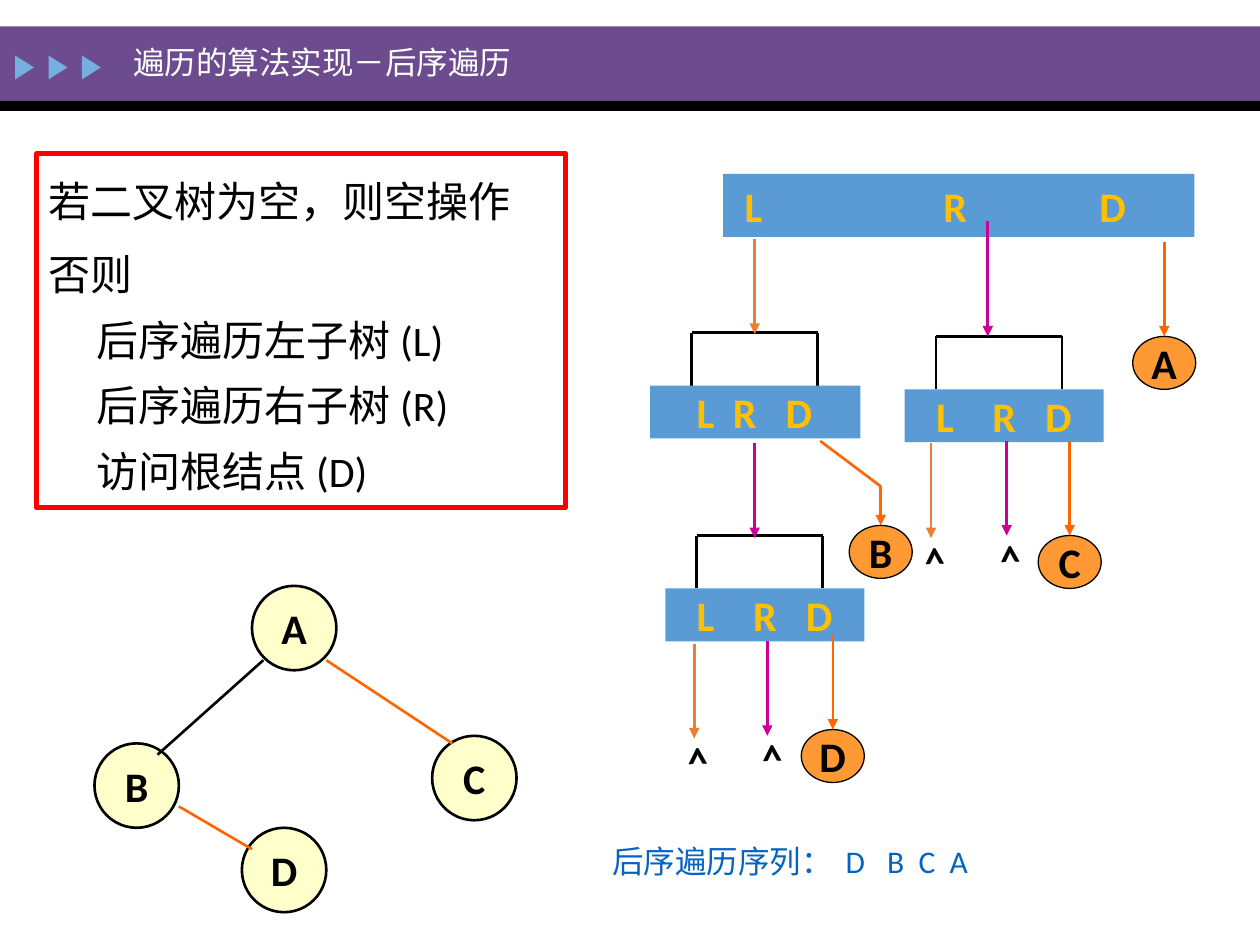
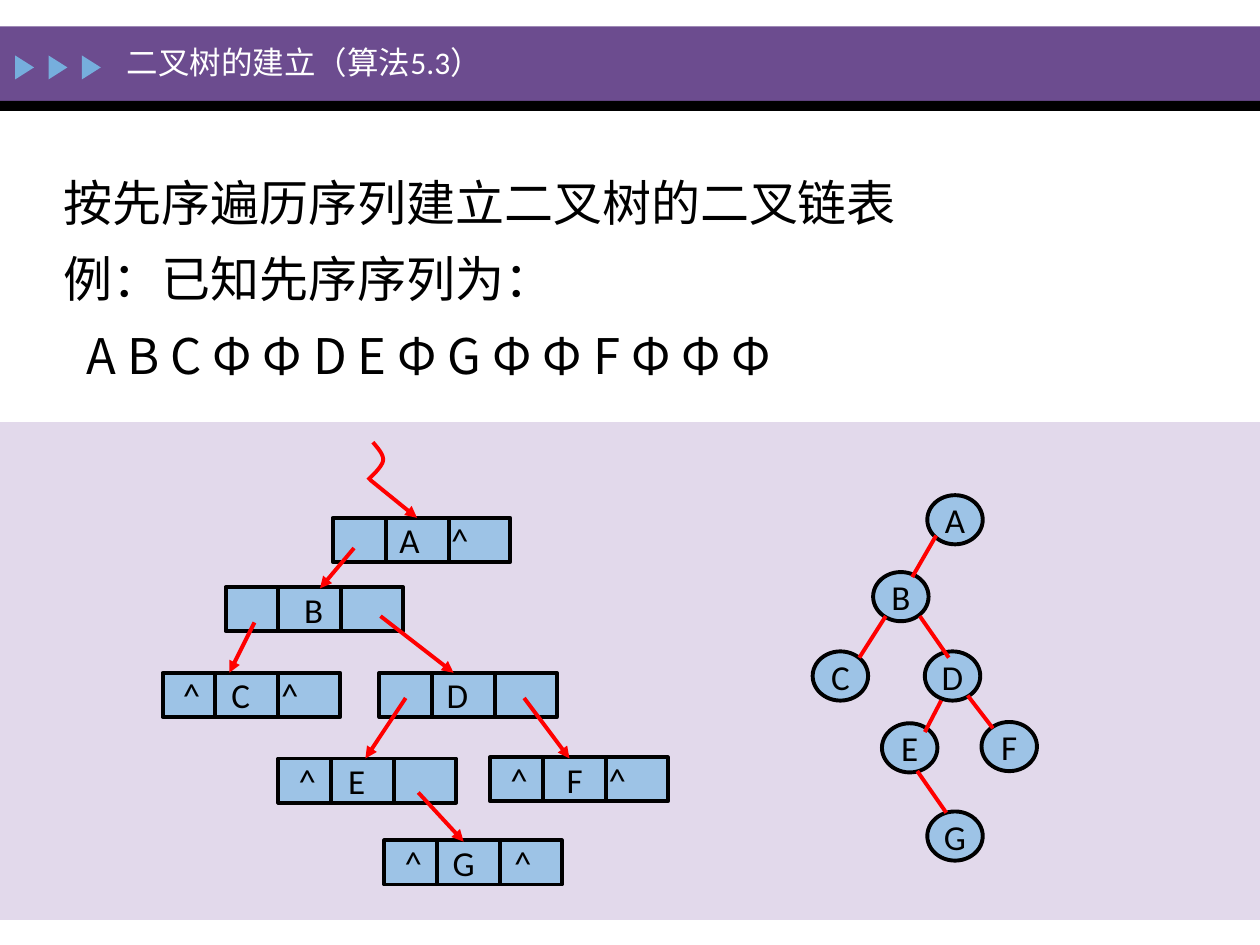
from pptx import Presentation
from pptx.dml.color import RGBColor
from pptx.enum.shapes import MSO_CONNECTOR, MSO_SHAPE
from pptx.enum.text import MSO_ANCHOR, PP_ALIGN
from pptx.oxml.ns import qn
from pptx.oxml.xmlchemy import OxmlElement
from pptx.util import Inches, Pt

# Colours and fonts
BLACK = RGBColor(0x00, 0x00, 0x00)
WHITE = RGBColor(0xFF, 0xFF, 0xFF)
RED = RGBColor(0xFF, 0x00, 0x00)
PURPLE = RGBColor(0x6C, 0x4C, 0x8F)
LILAC = RGBColor(0xE2, 0xD9, 0xEB)
SKY = RGBColor(0x76, 0xAE, 0xDD)
BLUE = RGBColor(0x5B, 0x9B, 0xD5)
PALE = RGBColor(0x9D, 0xC3, 0xE6)
LINK = RGBColor(0x05, 0x63, 0xC1)
CREAM = RGBColor(0xFF, 0xFF, 0xCC)
GOLD = RGBColor(0xFF, 0xC0, 0x00)
AMBER = RGBColor(0xFF, 0x99, 0x33)
ORANGE = RGBColor(0xFF, 0x66, 0x00)
RUST = RGBColor(0xED, 0x7D, 0x31)
PINK = RGBColor(0xCC, 0x00, 0x99)
LATIN, HAN = "Calibri", "Noto Sans CJK SC"

# Text formats
TITLE = dict(size=Pt(18), color=WHITE)
BODY = dict(size=Pt(24), color=BLACK)
LEAD = dict(size=Pt(28), color=BLACK)
CODES = dict(LEAD, name=HAN)
MARK = dict(BODY, bold=True)
STEP = dict(MARK, color=GOLD)
ORDER = dict(size=Pt(18), color=LINK)
NODE = dict(size=Pt(20), color=BLACK)


def style(font, fmt):
    for key, val in dict({"name": LATIN}, **fmt).items():
        if key == "color":
            font.color.rgb = val
        else:
            setattr(font, key, val)


def add_tabs(para, stops):
    tabs = OxmlElement("a:tabLst")
    for stop in stops:
        tab = OxmlElement("a:tab")
        tab.set("pos", str(Inches(stop)))
        tab.set("algn", "ctr")
        tabs.append(tab)
    para._p.get_or_add_pPr().append(tabs)


def write(para, text, fmt, stops=(), **attrs):
    if stops:
        add_tabs(para, stops)
    for key, val in attrs.items():
        setattr(para, key, val)
    para.text = text
    for run in para.runs:
        style(run.font, fmt)


def set_frame(frame, wrap=True, anchor=MSO_ANCHOR.MIDDLE, inset=None):
    frame.word_wrap = wrap
    frame.vertical_anchor = anchor
    if inset is not None:
        frame.margin_left = frame.margin_right = Inches(inset)


def add_box(slide, box, fill=None, line=None, width=1.5, kind=MSO_SHAPE.RECTANGLE):
    shape = slide.shapes.add_shape(kind, *map(Inches, box))
    shape.shadow.inherit = False
    if fill is None:
        shape.fill.background()
    else:
        shape.fill.solid()
        shape.fill.fore_color.rgb = fill
    if line is None:
        shape.line.fill.background()
    else:
        shape.line.color.rgb = line
        shape.line.width = Pt(width)
    return shape


def add_text(slide, box, text, fmt, stops=(), turn=0):
    label = slide.shapes.add_textbox(*map(Inches, box))
    label.rotation = turn
    set_frame(label.text_frame)
    write(label.text_frame.paragraphs[0], text, fmt, stops)
    return label


def add_disc(slide, box, text, fmt, fill, width):
    disc = add_box(slide, box, fill, BLACK, width, MSO_SHAPE.OVAL)
    set_frame(disc.text_frame, wrap=False)
    write(disc.text_frame.paragraphs[0], text, fmt, alignment=PP_ALIGN.CENTER)


def add_cells(shape, cells, fmt):
    """Centre each letter of a row on its own tab stop."""
    set_frame(shape.text_frame, inset=0)
    text = "".join("\t" + mark for _, mark in cells)
    write(shape.text_frame.paragraphs[0], text, fmt, [x for x, _ in cells],
          alignment=PP_ALIGN.LEFT)


def add_line(slide, start, end, color=BLACK, width=1.5, arrow=False):
    line = slide.shapes.add_connector(
        MSO_CONNECTOR.STRAIGHT, *map(Inches, (*start, *end)))
    line.line.color.rgb = color
    line.line.width = Pt(width)
    props = line.element.spPr
    if arrow:
        tail = OxmlElement("a:tailEnd")
        tail.set("type", "triangle")
        props.find(qn("a:ln")).append(tail)
    props.append(OxmlElement("a:effectLst"))


def drop(slide, x, top, color, fall=0.75):
    add_line(slide, (x, top), (x, top + fall), color, arrow=True)


def add_call(slide, left, top, width, stops, fork):
    """A bar of L, R, D steps under a three-sided bracket."""
    roof = top - 0.42
    add_line(slide, (fork, roof), (fork + 1, roof))
    for x in (fork, fork + 1):
        add_line(slide, (x, roof), (x, top))
    bar = add_box(slide, (left, top, width, 0.42), BLUE)
    add_cells(bar, list(zip(stops, "LRD")), STEP)


def add_curve(slide, start, bends, color):
    """Trace cubic bends with short straight steps."""
    pts, here = [], start
    for a, b, end in bends:
        for i in range(1, 13):
            t = i / 12
            u = 1 - t
            pts.append(tuple(
                Inches(u**3 * p + 3*u*u*t * q + 3*u*t*t * r + t**3 * s)
                for p, q, r, s in zip(here, a, b, end)))
        here = end
    path = slide.shapes.build_freeform(*map(Inches, start))
    path.add_line_segments(pts, close=False)
    curve = path.convert_to_shape()
    curve.shadow.inherit = False
    curve.fill.background()
    curve.line.color.rgb = color
    curve.line.width = Pt(2.25)


def new_slide(deck, title, left):
    slide = deck.slides.add_slide(deck.slide_layouts[6])
    add_box(slide, (0, 0.21, 10, 0.59), PURPLE)
    add_box(slide, (0, 0.8, 10, 0.08), BLACK)
    for i in range(3):
        tri = add_box(slide, (0.1 + 0.265 * i, 0.46, 0.19, 0.15), SKY,
                      kind=MSO_SHAPE.ISOSCELES_TRIANGLE)
        tri.rotation = 90
    add_text(slide, (left, 0.21, 6.44, 0.57), title, TITLE)
    return slide


def add_rules(slide):
    rules = add_box(slide, (0.29, 1.22, 4.2, 2.81), line=RED, width=3)
    frame = rules.text_frame
    set_frame(frame, anchor=MSO_ANCHOR.TOP)
    lines = ("若二叉树为空，则空操作",
             "否则\v后序遍历左子树 (L)\v后序遍历右子树 (R)\v访问根结点 (D)")
    for i, text in enumerate(lines):
        para = frame.add_paragraph() if i else frame.paragraphs[0]
        props = para._p.get_or_add_pPr()
        props.set("marL", str(Inches(0.38)))
        props.set("indent", str(Inches(-0.38)))
        write(para, text, BODY, line_spacing=1.3, space_before=Pt(4.8 * i),
              alignment=PP_ALIGN.LEFT)


def post_order(deck):
    slide = new_slide(deck, "遍历的算法实现－后序遍历", 0.96)
    add_rules(slide)

    # Sample tree
    for name, x, y in (("A", 2, 4.65), ("D", 1.92, 6.57),
                       ("B", 0.75, 5.9), ("C", 3.43, 5.84)):
        add_disc(slide, (x, y, 0.67, 0.67), name, MARK, CREAM, 1.5)
    add_line(slide, (2.09, 5.24), (1.25, 5.99))
    add_line(slide, (2.59, 5.24), (3.59, 5.9), ORANGE)
    add_line(slide, (1.42, 6.4), (2, 6.74), ORANGE)

    # Nested calls
    root = add_box(slide, (5.74, 1.38, 3.74, 0.5), BLUE)
    add_cells(root, [(0.24, "L"), (1.84, "R"), (3.09, "D")], STEP)
    wide = (0.32, 0.79, 1.22)
    add_call(slide, 5.16, 3.06, 1.67, (0.44, 0.75, 1.18), 5.49)
    add_call(slide, 5.28, 4.67, 1.58, wide, 5.53)
    add_call(slide, 7.18, 3.09, 1.58, wide, 7.43)

    # Arrows for the left, right and root steps
    for x, y in ((5.99, 1.9), (5.51, 5.11), (7.39, 3.52)):
        drop(slide, x, y, RUST)
    for x, y in ((5.99, 3.52), (6.09, 5.09), (7.99, 3.5)):
        drop(slide, x, y, PINK)
    drop(slide, 7.84, 1.75, PINK, 0.92)
    for x, y in ((9.24, 1.92), (6.61, 5.04), (8.49, 3.5)):
        drop(slide, x, y, ORANGE)
    add_line(slide, (6.51, 3.5), (6.99, 3.86), ORANGE)
    drop(slide, 6.99, 3.86, ORANGE, 0.31)

    # Visited nodes and empty links
    for name, x, y in (("A", 8.99, 2.67), ("D", 6.36, 5.79),
                       ("C", 8.24, 4.25), ("B", 6.74, 4.17)):
        add_disc(slide, (x, y, 0.5, 0.42), name, MARK, AMBER, 0.75)
    for x, y in ((5.89, 5.71), (5.3, 5.73), (7.78, 4.13), (7.18, 4.15)):
        add_text(slide, (x, y, 0.42, 0.5), ">", MARK, turn=268.3)

    add_text(slide, (4.76, 6.55, 5.24, 0.57), "后序遍历序列：\tD\tB\tC\tA",
             ORDER, (1.93, 2.25, 2.5, 2.75))


def build_tree(deck):
    slide = new_slide(deck, "二叉树的建立（算法5.3）", 0.91)
    add_box(slide, (0, 3.35, 10, 3.95), LILAC)

    # Binary tree
    for name, x, y in (("A", 7.36, 3.93), ("B", 6.93, 4.54), ("C", 6.45, 5.17),
                       ("D", 7.34, 5.17), ("E", 7, 5.74), ("F", 7.79, 5.73),
                       ("G", 7.36, 6.44)):
        add_disc(slide, (x, y, 0.44, 0.39), name, NODE, PALE, 2.25)
    edges = (((7.43, 4.25), (7.24, 4.58)), ((7.03, 4.89), (6.82, 5.22)),
             ((7.3, 4.89), (7.53, 5.22)), ((7.47, 5.56), (7.34, 5.81)),
             ((7.68, 5.52), (7.88, 5.78)), ((7.28, 6.12), (7.51, 6.45)))
    for start, end in edges:
        add_line(slide, start, end, RED, 2.25)

    # Linked records: left link, data, right link
    nil, end_nil = (0.23, "^"), (1.01, "^")
    cards = ((2.64, 4.11, [(0.61, "A"), end_nil]),
             (1.79, 4.66, [(0.7, "B")]),
             (1.29, 5.34, [nil, (0.62, "C"), end_nil]),
             (3.01, 5.34, [(0.62, "D")]),
             (2.21, 6.02, [nil, (0.62, "E")]),
             (3.89, 6.01, [nil, (0.67, "F"), end_nil]),
             (3.05, 6.67, [nil, (0.63, "G"), (1.1, "^")]))
    for x, y, cells in cards:
        card = add_box(slide, (x, y, 1.41, 0.35), PALE, BLACK, 2.25)
        add_cells(card, cells, NODE)
        for cut in (x + 0.42, x + 0.92):
            add_line(slide, (cut, y), (cut, y + 0.35), BLACK, 2.25)

    # Links between records, and the head pointer
    links = (((2.81, 4.35), (2.54, 4.67)), ((2.02, 4.94), (1.82, 5.34)),
             ((3.02, 4.89), (3.6, 5.34)), ((3.22, 5.54), (2.9, 6.02)),
             ((4.16, 5.54), (4.52, 6.02)), ((3.32, 6.29), (3.68, 6.68)),
             ((2.94, 3.81), (3.31, 4.11)))
    for start, end in links:
        add_line(slide, start, end, RED, 2.25, arrow=True)
    add_curve(slide, (2.96, 3.51),
              (((3, 3.56), (3.05, 3.61), (3.04, 3.66)),
               ((3.03, 3.71), (2.94, 3.79), (2.92, 3.81))), RED)

    # Task text
    task = add_text(slide, (0.41, 1.18, 9.43, 1.94),
                    "按先序遍历序列建立二叉树的二叉链表\v例：已知先序序列为：", LEAD)
    frame = task.text_frame
    set_frame(frame, anchor=MSO_ANCHOR.TOP)
    frame.paragraphs[0].line_spacing = 1.3
    codes = frame.add_paragraph()
    codes._p.get_or_add_pPr().set("marL", str(Inches(0.18)))
    write(codes, "A B C Φ Φ D E Φ G Φ Φ F Φ Φ Φ", CODES, line_spacing=1.3)


def main():
    deck = Presentation()
    deck.slide_width, deck.slide_height = Inches(10), Inches(7.5)
    post_order(deck)
    build_tree(deck)
    deck.save("out.pptx")


if __name__ == "__main__":
    main()
